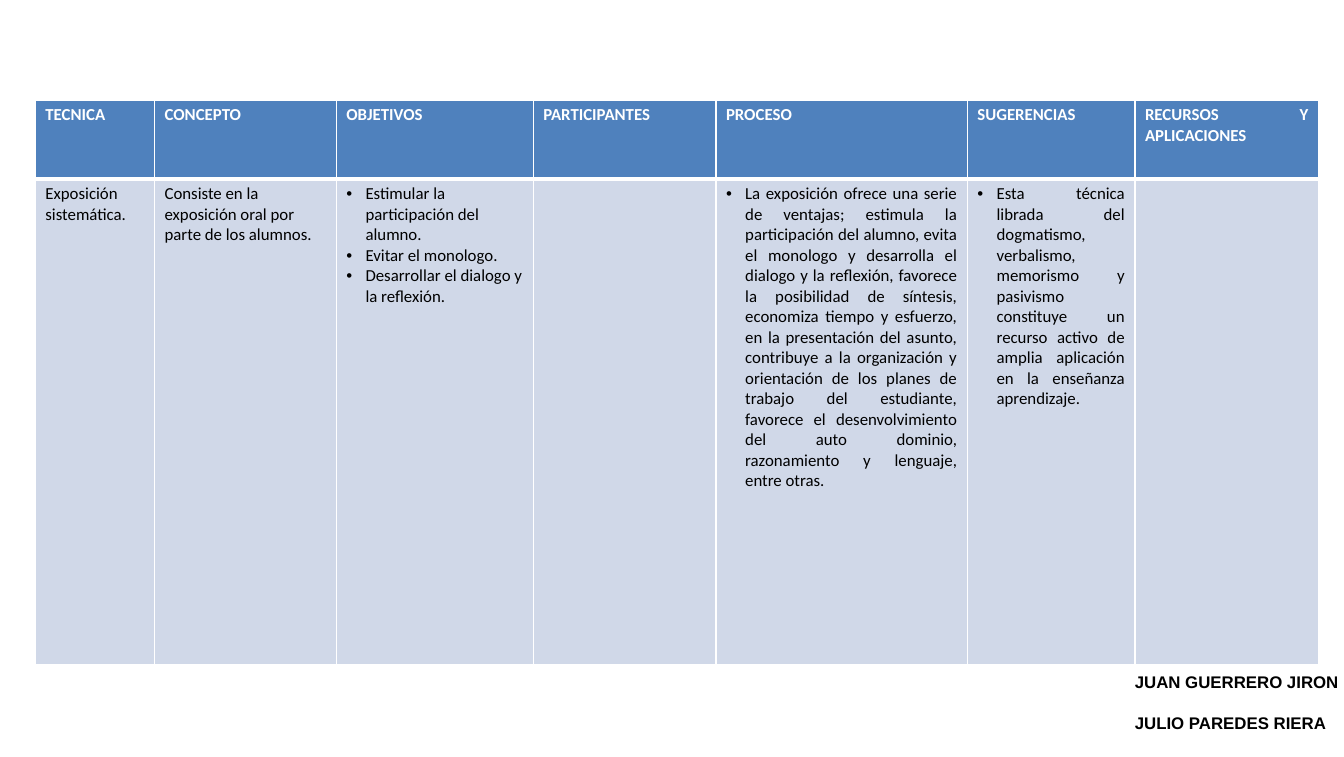
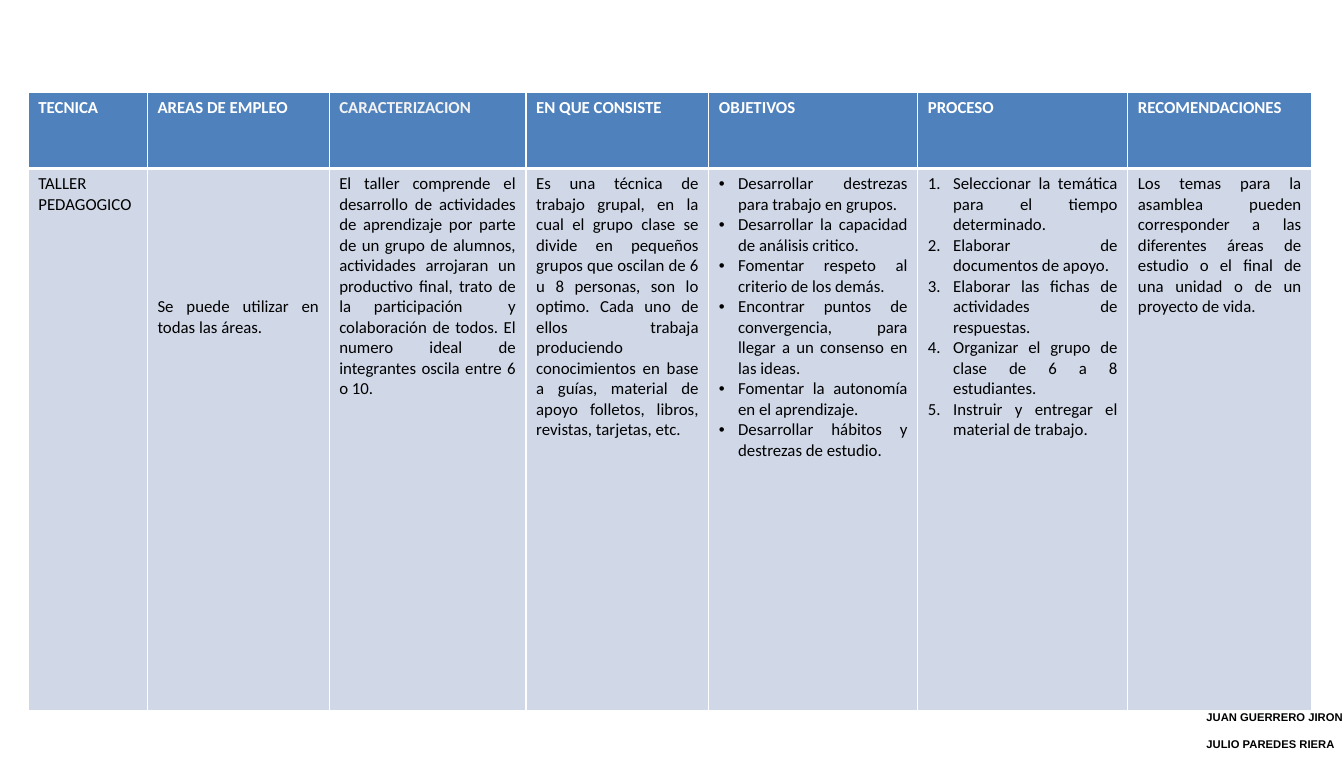
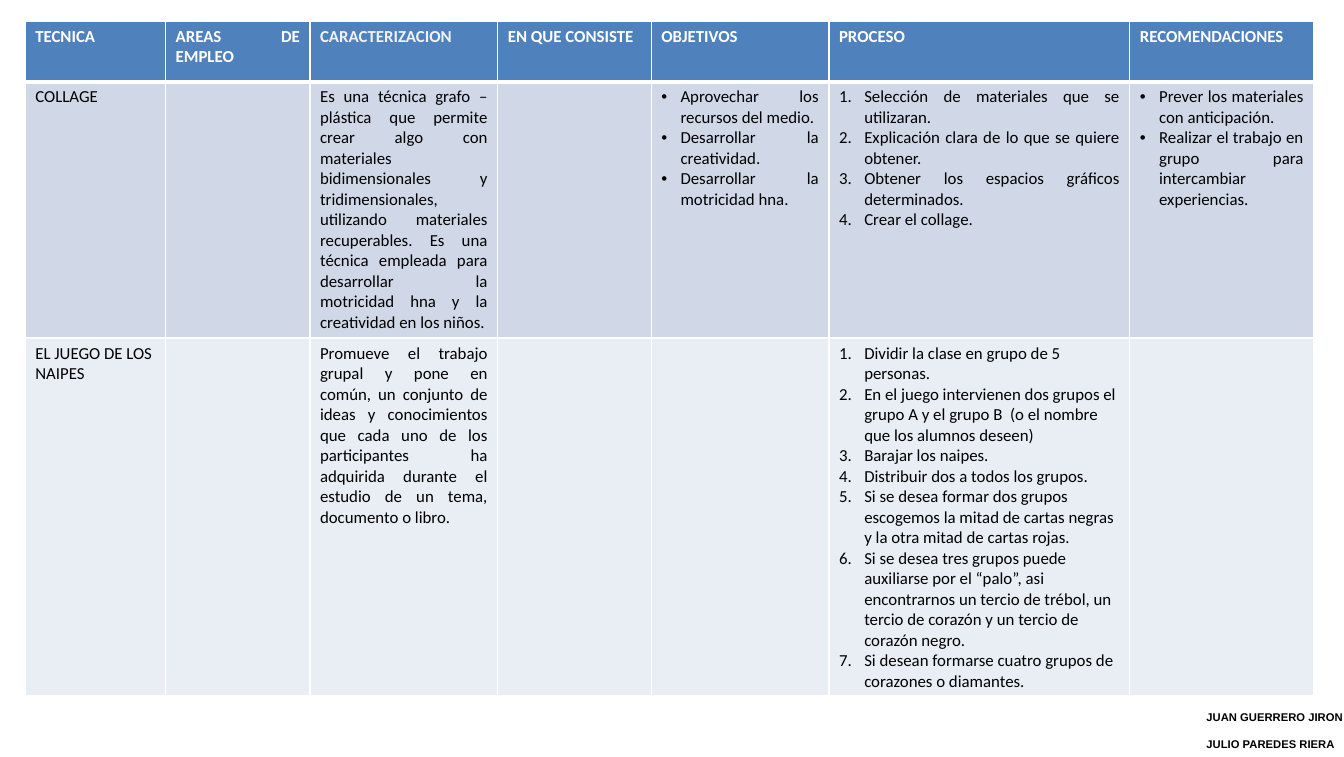
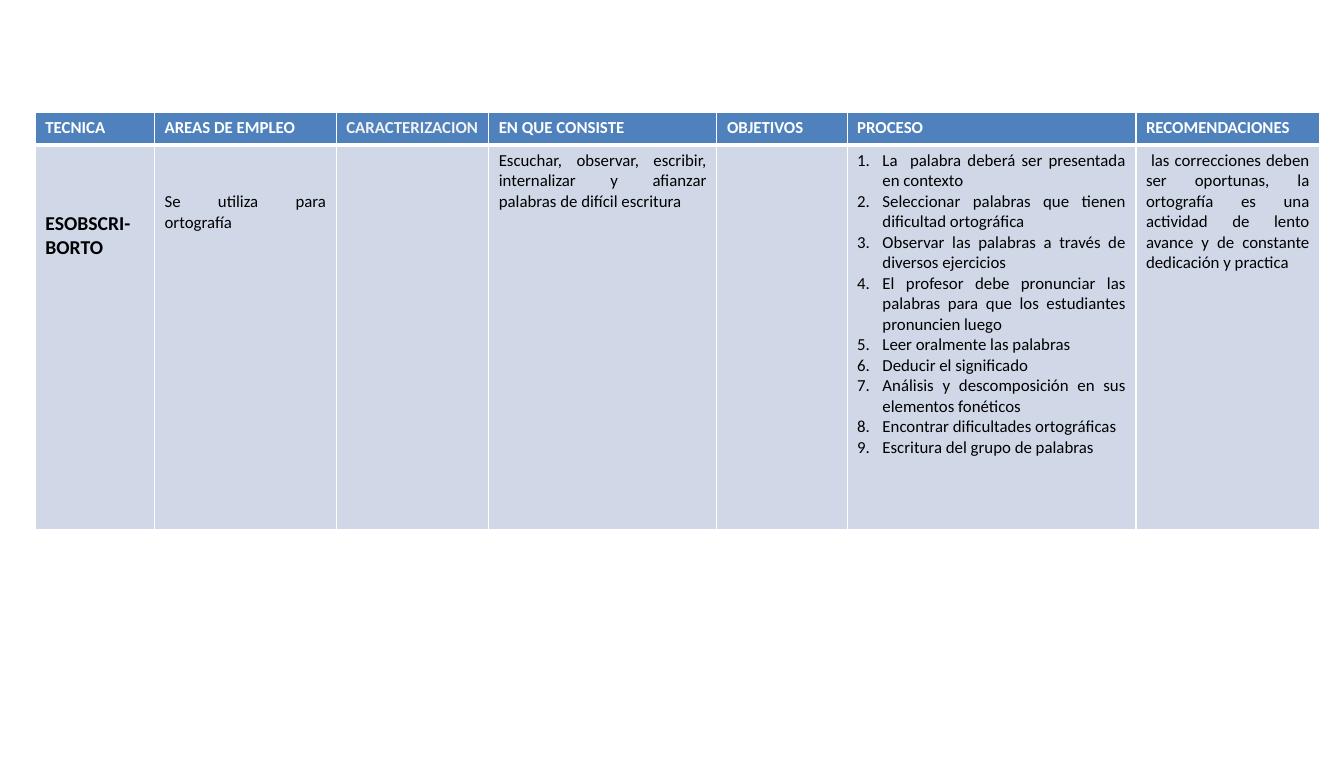
from lxml.etree import SubElement
from pptx import Presentation
from pptx.dml.color import RGBColor
from pptx.enum.text import MSO_ANCHOR, PP_ALIGN
from pptx.oxml.ns import qn
from pptx.util import Emu, Inches, Pt

WHITE, BLACK, PALE = "FFFFFF", "000000", "F2F2F2"
BLUE, BANDS = "4F81BD", ("D0D8E8", "E9EDF4")
LEFT, JUST = PP_ALIGN.LEFT, PP_ALIGN.JUSTIFY
INDENT = {"dot": 0.19, "num": 0.25}
HEADS = ["TECNICA", "AREAS DE EMPLEO", "CARACTERIZACION", "EN QUE CONSISTE",
         "OBJETIVOS", "PROCESO", "RECOMENDACIONES"]


def paint(target, color):
    target.rgb = RGBColor.from_string(color)


def mark(para, kind):
    props = para._p.get_or_add_pPr()
    props.set("marL", str(Inches(INDENT[kind])))
    props.set("indent", str(-Inches(INDENT[kind])))
    if kind == "dot":
        SubElement(props, qn("a:buFont"), typeface="Arial")
        SubElement(props, qn("a:buChar"), char="•")
    else:
        SubElement(props, qn("a:buFont"), typeface="+mj-lt")
        SubElement(props, qn("a:buAutoNum"), type="arabicPeriod")


def write(frame, lines, size=12, font="Calibri", color=BLACK, bold=False,
          align=JUST, bullet=None, gap=0):
    for index, line in enumerate(lines):
        para = frame.add_paragraph() if index else frame.paragraphs[0]
        if bullet:
            mark(para, bullet)
        para.alignment = align
        if index and gap:
            para.space_before = Pt(gap)
        run = para.add_run()
        run.text = line
        run.font.size = Pt(size)
        run.font.name = font
        run.font.bold = bold
        paint(run.font.color, color)


def say(*lines, top=0.05, **style):
    return {"lines": lines, "top": top, "style": style}


def dots(*lines, **style):
    return say(*lines, bullet="dot", **style)


def nums(*lines, **style):
    return say(*lines, bullet="num", **style)


def name(*lines, **style):
    return say(*lines, align=LEFT, **style)


def edge(cell, base):
    props = cell._tc.get_or_add_tcPr()
    for side, width in (("L", 1), ("R", 1), ("T", 1), ("B", base)):
        line = SubElement(props, qn("a:ln" + side), w=str(Pt(width)))
        fill = SubElement(line, qn("a:solidFill"))
        SubElement(fill, qn("a:srgbClr"), val=WHITE)


def fill_cell(cell, item, color, base=1):
    edge(cell, base)
    cell.fill.solid()
    paint(cell.fill.fore_color, color)
    if item:
        cell.margin_top = Inches(item["top"])
        write(cell.text_frame, item["lines"], **item["style"])


def add_grid(slide, left, top, widths, heights, heads, rows):
    grid = slide.shapes.add_table(
        len(heights), len(widths), Inches(left), Inches(top),
        Inches(sum(widths)), Inches(sum(heights))).table
    for col, width in zip(grid.columns, widths):
        col.width = Inches(width)
    for row, height in zip(grid.rows, heights):
        row.height = Inches(height)
    for col, head in enumerate(heads):
        tint = PALE if head == "CARACTERIZACION" else WHITE
        fill_cell(grid.cell(0, col), say(head, color=tint, bold=True), BLUE, 3)
    for row, items in enumerate(rows):
        for col, item in enumerate(items):
            fill_cell(grid.cell(row + 1, col), item, BANDS[row % 2])


def add_names(slide, left, top, width, height, size):
    box = slide.shapes.add_textbox(*map(Inches, (left, top, width, height)))
    frame = box.text_frame
    frame.word_wrap = True
    frame.vertical_anchor = MSO_ANCHOR.BOTTOM
    write(frame, ["JUAN GUERRERO JIRON", "JULIO PAREDES RIERA"], size=size,
          font="Arial", bold=True, align=LEFT, gap=size * 1.25)


def small_names(slide):
    add_names(slide, 11.85, 7.14, 2.13, 0.35, 8)


def show_talk(slide):
    heads = ["TECNICA", "CONCEPTO", "OBJETIVOS", "PARTICIPANTES", "PROCESO",
             "SUGERENCIAS", "RECURSOS Y APLICACIONES"]
    row = [
        name("Exposición sistemática."),
        name("Consiste en la exposición oral por parte de los alumnos."),
        dots("Estimular la participación del alumno.",
             "Evitar el monologo.",
             "Desarrollar el dialogo y la reflexión.", align=LEFT),
        None,
        dots("La exposición ofrece una serie de ventajas; estimula la "
             "participación del alumno, evita el monologo y desarrolla el "
             "dialogo y la reflexión, favorece la posibilidad de síntesis, "
             "economiza tiempo y esfuerzo, en la presentación del asunto, "
             "contribuye a la organización y orientación de los planes de "
             "trabajo del estudiante, favorece el desenvolvimiento del auto "
             "dominio, razonamiento y lenguaje, entre otras."),
        dots("Esta técnica librada del dogmatismo, verbalismo, memorismo y "
             "pasivismo constituye un recurso activo de amplia aplicación en "
             "la enseñanza aprendizaje."),
        None,
    ]
    add_grid(slide, 0.35, 0.99, [1.18, 1.8, 1.95, 1.81, 2.49, 1.66, 1.82],
             [0.78, 4.81], heads, [row])
    add_names(slide, 11.14, 6.58, 2.91, 0.73, 12)


def show_workshop(slide):
    row = [
        name("TALLER PEDAGOGICO"),
        say("Se puede utilizar en todas las áreas.", top=1.27),
        say("El taller comprende el desarrollo de actividades de aprendizaje "
            "por parte de un grupo de alumnos, actividades arrojaran un "
            "productivo final, trato de la participación  y colaboración de "
            "todos. El numero ideal de integrantes oscila entre 6 o 10."),
        say("Es una técnica de trabajo grupal, en la cual el grupo clase se "
            "divide en pequeños grupos que oscilan de 6 u 8 personas, son lo "
            "optimo. Cada uno de ellos trabaja produciendo conocimientos en "
            "base a guías, material de apoyo folletos, libros, revistas, "
            "tarjetas, etc."),
        dots("Desarrollar destrezas para trabajo en grupos.",
             "Desarrollar la capacidad de análisis critico.",
             "Fomentar respeto al criterio de los demás.",
             "Encontrar puntos de convergencia, para llegar a un consenso en "
             "las ideas.",
             "Fomentar la autonomía en el aprendizaje.",
             "Desarrollar hábitos y destrezas de estudio."),
        nums("Seleccionar la temática para el tiempo determinado.",
             "Elaborar de documentos de apoyo.",
             "Elaborar las fichas de actividades de respuestas.",
             "Organizar el grupo de clase de 6 a 8 estudiantes.",
             "Instruir y entregar el material de trabajo."),
        say("Los temas para la asamblea pueden corresponder a las diferentes "
            "áreas de estudio o el final de una unidad o de un proyecto de "
            "vida."),
    ]
    add_grid(slide, 0.28, 0.92, [1.18, 1.8, 1.95, 1.81, 2.07, 2.08, 1.82],
             [0.75, 5.37], HEADS, [row])
    small_names(slide)


def show_games(slide):
    collage = [
        name("COLLAGE"),
        None,
        say("Es una técnica grafo – plástica que permite crear algo con "
            "materiales bidimensionales y tridimensionales, utilizando "
            "materiales recuperables. Es una técnica empleada para "
            "desarrollar la motricidad hna y la creatividad en los niños."),
        None,
        dots("Aprovechar los recursos del medio.",
             "Desarrollar la creatividad.",
             "Desarrollar la motricidad hna."),
        nums("Selección de materiales que se utilizaran.",
             "Explicación clara de lo que se quiere obtener.",
             "Obtener los espacios gráficos determinados.",
             "Crear el collage."),
        dots("Prever los materiales con anticipación.",
             "Realizar el trabajo en grupo para intercambiar experiencias."),
    ]
    cards = [
        name("EL JUEGO DE LOS NAIPES"),
        None,
        say("Promueve el trabajo grupal y pone en común, un conjunto de "
            "ideas y conocimientos que cada uno de los participantes ha "
            "adquirida durante el estudio de un tema, documento o libro."),
        None,
        None,
        nums("Dividir la clase en grupo de 5 personas.",
             "En el juego intervienen dos grupos el grupo A y el grupo B  (o "
             "el nombre que los alumnos deseen)",
             "Barajar los naipes.",
             "Distribuir dos a todos los grupos.",
             "Si se desea formar dos grupos escogemos la mitad de cartas "
             "negras y la otra mitad de cartas rojas.",
             "Si se desea tres grupos puede auxiliarse por el “palo”, asi  "
             "encontrarnos un tercio de trébol, un tercio de corazón y un "
             "tercio de corazón negro.",
             "Si desean formarse cuatro grupos de corazones o diamantes.",
             align=LEFT),
        None,
    ]
    add_grid(slide, 0.25, 0.21, [1.39, 1.43, 1.86, 1.52, 1.76, 2.98, 1.82],
             [0.6, 2.54, 3.54], HEADS, [collage, cards])
    small_names(slide)


def show_spelling(slide):
    row = [
        name("ESOBSCRI-", "BORTO", size=14, bold=True, top=0.66),
        say("Se utiliza para ortografía", top=0.46),
        None,
        say("Escuchar, observar, escribir, internalizar y afianzar palabras "
            "de difícil escritura"),
        None,
        nums("La  palabra deberá ser presentada en contexto",
             "Seleccionar palabras que tienen dificultad ortográfica",
             "Observar las palabras a través de diversos ejercicios",
             "El profesor debe pronunciar las palabras para que los "
             "estudiantes pronuncien luego",
             "Leer oralmente las palabras",
             "Deducir el significado",
             "Análisis y descomposición en sus elementos fonéticos",
             "Encontrar dificultades ortográficas",
             "Escritura del grupo de palabras"),
        say(" las correcciones deben ser oportunas, la ortografía es una "
            "actividad de lento avance y de constante dedicación y practica"),
    ]
    add_grid(slide, 0.35, 1.11, [1.18, 1.8, 1.51, 2.26, 1.29, 2.86, 1.82],
             [0.33, 3.81], HEADS, [row])


def main():
    deck = Presentation()
    deck.slide_width, deck.slide_height = Inches(13.31), Inches(7.5)
    for show in (show_talk, show_workshop, show_games, show_spelling):
        show(deck.slides.add_slide(deck.slide_layouts[6]))
    deck.save("out.pptx")


if __name__ == "__main__":
    main()
